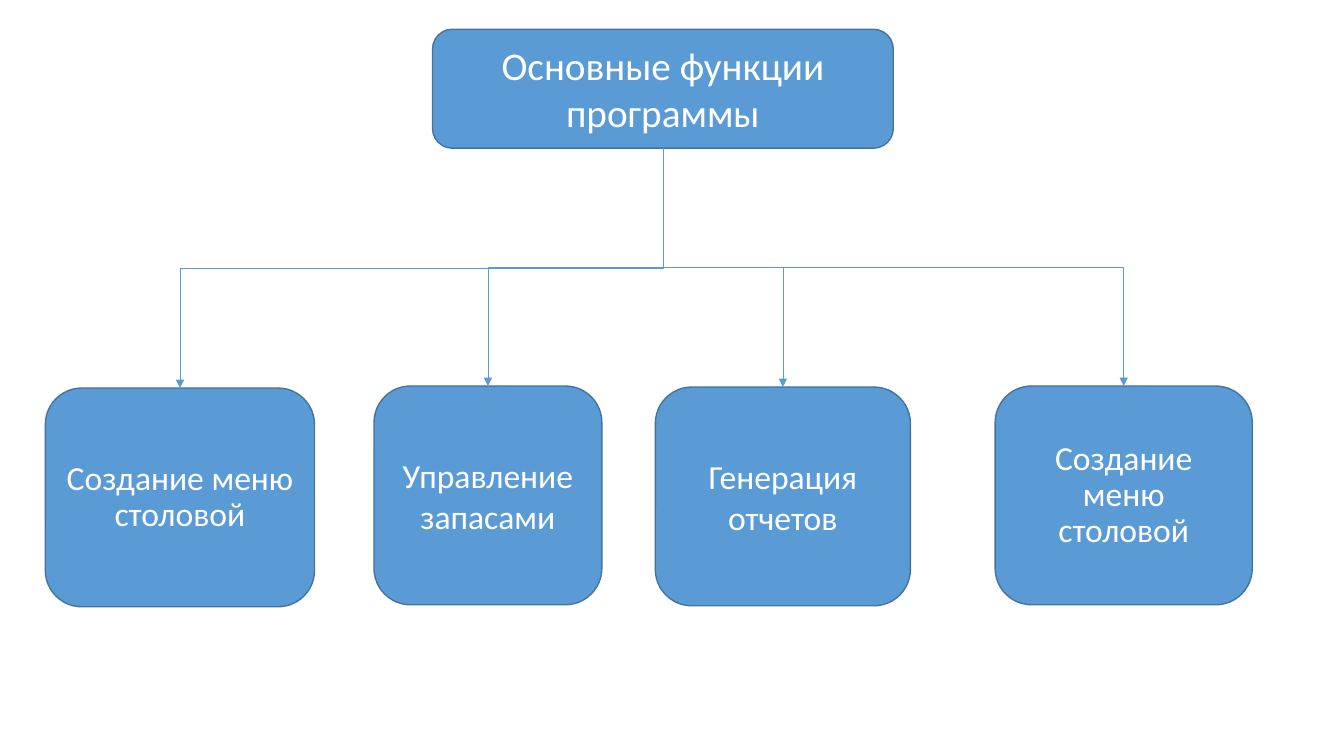
from lxml.etree import SubElement
from pptx import Presentation
from pptx.dml.color import RGBColor
from pptx.enum.shapes import MSO_CONNECTOR, MSO_SHAPE
from pptx.enum.text import MSO_ANCHOR, PP_ALIGN
from pptx.oxml.ns import qn
from pptx.util import Inches, Pt

# Content: text, box in inches (left, top, width, height), text format
ROOT = ("Основные функции программы", (4.29, 0.29, 4.57, 1.18), {"size": 28})
TIGHT = {"line_spacing": 0.9, "space_before": 10}
FUNCTIONS = [
    ("Создание меню столовой", (0.45, 3.85, 2.67, 2.17), TIGHT),
    ("Управление запасами", (3.71, 3.83, 2.26, 2.17), {}),
    ("Генерация отчетов", (6.5, 3.84, 2.53, 2.17), {}),
    ("Создание меню столовой", (9.87, 3.83, 2.55, 2.17), TIGHT),
]

BLUE = RGBColor(0x5B, 0x9B, 0xD5)
DARK_BLUE = RGBColor(0x43, 0x73, 0x9E)
WHITE = RGBColor(0xFF, 0xFF, 0xFF)
BOTTOM, TOP = 2, 0


def write_text(shape, text, size=24, line_spacing=None, space_before=None):
    frame = shape.text_frame
    frame.word_wrap = True
    frame.vertical_anchor = MSO_ANCHOR.MIDDLE
    paragraph = frame.paragraphs[0]
    paragraph.alignment = PP_ALIGN.CENTER
    if line_spacing:
        paragraph.line_spacing = line_spacing
    if space_before:
        paragraph.space_before = Pt(space_before)
    run = paragraph.add_run()
    run.text = text
    run.font.name = "Calibri"
    run.font.size = Pt(size)
    run.font.color.rgb = WHITE


def add_box(slide, text, box, text_format):
    shape = slide.shapes.add_shape(MSO_SHAPE.ROUNDED_RECTANGLE, *map(Inches, box))
    shape.shadow.inherit = False
    shape.fill.solid()
    shape.fill.fore_color.rgb = BLUE
    shape.line.color.rgb = DARK_BLUE
    shape.line.width = Pt(1)
    write_text(shape, text, **text_format)
    return shape


def add_elbow_arrow(slide, parent, child):
    start_x, start_y = parent.left + parent.width // 2, parent.top + parent.height
    end_x, end_y = child.left + child.width // 2, child.top
    connector = slide.shapes.add_connector(
        MSO_CONNECTOR.ELBOW, start_x, start_y, end_x, end_y)
    connector.begin_connect(parent, BOTTOM)
    connector.end_connect(child, TOP)

    # Turn the elbow by a quarter so that it leaves and arrives vertically
    drop, shift = end_y - start_y, abs(end_x - start_x)
    connector.left = (start_x + end_x - drop) // 2
    connector.top = (start_y + end_y - shift) // 2
    connector.width, connector.height = drop, shift
    to_right = end_x > start_x
    properties = connector._element.spPr
    transform = properties.find(qn("a:xfrm"))
    transform.set("rot", "16200000" if to_right else "5400000")
    transform.set("flipH", "1" if to_right else "0")
    transform.set("flipV", "0")

    # Line, arrowhead, no shadow
    connector.line.color.rgb = BLUE
    connector.line.width = Pt(0.5)
    SubElement(properties.find(qn("a:ln")), qn("a:tailEnd"), type="triangle")
    SubElement(properties, qn("a:effectLst"))


def main():
    presentation = Presentation()
    presentation.slide_width = Inches(13.33)
    presentation.slide_height = Inches(7.5)
    slide = presentation.slides.add_slide(presentation.slide_layouts[6])

    # Tree: root box, then each function with its arrow
    root = add_box(slide, *ROOT)
    for function in FUNCTIONS:
        add_elbow_arrow(slide, root, add_box(slide, *function))

    presentation.save("out.pptx")


if __name__ == "__main__":
    main()
